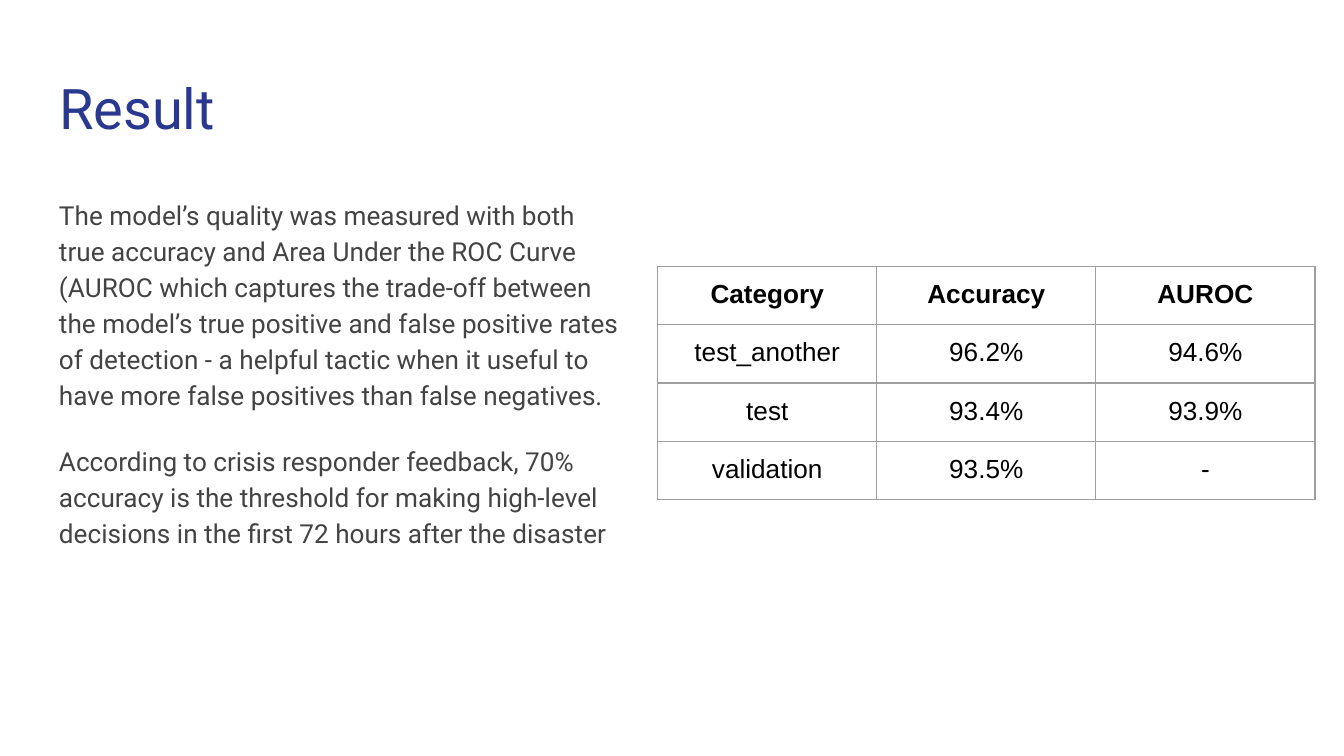
from lxml.etree import SubElement
from pptx import Presentation
from pptx.dml.color import RGBColor
from pptx.enum.text import MSO_ANCHOR, PP_ALIGN
from pptx.oxml.ns import qn
from pptx.util import Inches, Pt


def color(hex_string):
    return RGBColor.from_string(hex_string)


class ResultSlide:
    """Hold the style and the slide, placing elements in percent of its size."""

    heading_color = "2A3990"
    body_color = "434343"
    table_color = "000000"
    border_color = "9E9E9E"
    text_font = "Roboto"
    table_font = "Arial"
    heading_size = 30
    body_size = 14
    line_spacing = 1.15
    paragraph_gap = 16
    border_width = 0.75
    inset = Inches(0.1)

    def __init__(self, presentation):
        self.width = presentation.slide_width
        self.height = presentation.slide_height
        self.slide = presentation.slides.add_slide(presentation.slide_layouts[6])

    def across(self, percent):
        return int(self.width * percent / 100)

    def down(self, percent):
        return int(self.height * percent / 100)

    def place(self, left, top, width, height):
        return self.across(left), self.down(top), self.across(width), self.down(height)

    def set_margins(self, target):
        target.margin_left = target.margin_right = self.inset
        target.margin_top = target.margin_bottom = self.inset

    def format_runs(self, paragraph, font_name, size, hex_string, bold=False):
        for run in paragraph.runs:
            run.font.name = font_name
            run.font.size = Pt(size)
            run.font.bold = bold
            run.font.color.rgb = color(hex_string)

    def add_text(self, text, area, size, hex_string):
        shape = self.slide.shapes.add_textbox(*self.place(*area))
        text_frame = shape.text_frame
        text_frame.word_wrap = True
        text_frame.vertical_anchor = MSO_ANCHOR.TOP
        self.set_margins(text_frame)
        text_frame.text = text
        for paragraph in text_frame.paragraphs:
            self.format_runs(paragraph, self.text_font, size, hex_string)
        return text_frame.paragraphs

    def add_heading(self, text, area):
        self.add_text(text, area, self.heading_size, self.heading_color)

    def add_body(self, texts, area):
        paragraphs = self.add_text("\n".join(texts), area, self.body_size, self.body_color)
        for paragraph in paragraphs:
            paragraph.line_spacing = self.line_spacing
        for paragraph in paragraphs[1:]:
            paragraph.space_before = paragraph.space_after = Pt(self.paragraph_gap)

    def add_borders(self, cell):
        properties = cell._tc.get_or_add_tcPr()
        for side in ("a:lnL", "a:lnR", "a:lnT", "a:lnB"):
            line = SubElement(properties, qn(side), w=str(Pt(self.border_width)))
            fill = SubElement(line, qn("a:solidFill"))
            SubElement(fill, qn("a:srgbClr"), val=self.border_color)

    def add_table(self, rows, area, column_width, row_height):
        shape = self.slide.shapes.add_table(len(rows), len(rows[0]), *self.place(*area))
        table = shape.table
        table.first_row = table.horz_banding = False
        for column in table.columns:
            column.width = self.across(column_width)
        for row in table.rows:
            row.height = self.down(row_height)
        shape.width, shape.height = self.place(*area)[2:]
        for row_index, texts in enumerate(rows):
            for column_index, text in enumerate(texts):
                cell = table.cell(row_index, column_index)
                self.set_margins(cell)
                cell.text_frame.text = text
                paragraph = cell.text_frame.paragraphs[0]
                paragraph.alignment = PP_ALIGN.CENTER
                self.format_runs(
                    paragraph, self.table_font, self.body_size, self.table_color, row_index == 0
                )
                self.add_borders(cell)
                cell.fill.background()


def main():
    presentation = Presentation()
    presentation.slide_width = Inches(10)
    presentation.slide_height = Inches(10) * 9 // 16
    result = ResultSlide(presentation)
    result.add_heading("Result", (3.41, 8, 93.2, 11.7))
    result.add_body(
        [
            "The model’s quality was measured with both true accuracy and Area Under "
            "the ROC Curve (AUROC which captures the trade-off between the model’s true "
            "positive and false positive rates of detection - a helpful tactic when it "
            "useful to have more false positives than false negatives.",
            "According to crisis responder feedback, 70% accuracy is the threshold for "
            "making high-level decisions in the first 72 hours after the disaster",
        ],
        (3.41, 24, 43.7, 64.9),
    )
    result.add_table(
        [
            ("Category", "Accuracy", "AUROC"),
            ("test_another", "96.2%", "94.6%"),
            ("test", "93.4%", "93.9%"),
            ("validation", "93.5%", "-"),
        ],
        area=(48.94, 35.24, 32.8, 58.3),
        column_width=16.3,
        row_height=7.41,
    )
    presentation.save("out.pptx")


if __name__ == "__main__":
    main()
